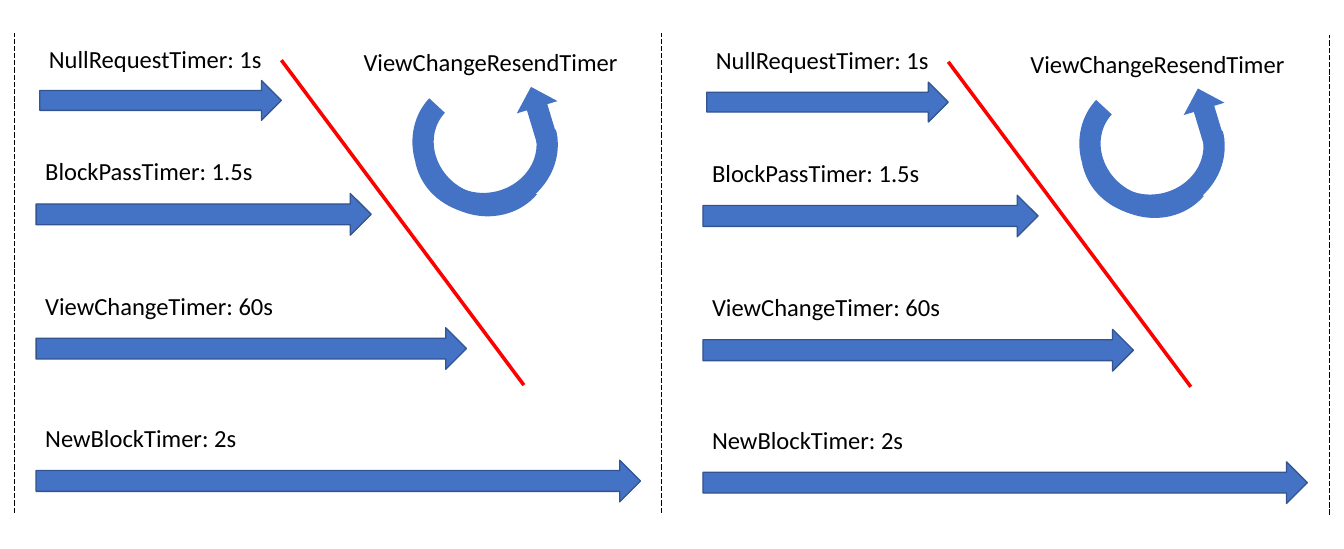
"""Build a slide with two consecutive rounds of consensus timers."""
from dataclasses import dataclass

from lxml import etree
from pptx import Presentation
from pptx.dml.color import RGBColor
from pptx.enum.dml import MSO_LINE
from pptx.enum.shapes import MSO_CONNECTOR, MSO_SHAPE
from pptx.enum.text import MSO_ANCHOR, MSO_AUTO_SIZE, PP_ALIGN
from pptx.oxml.ns import qn
from pptx.util import Inches, Pt

STRAIGHT = MSO_CONNECTOR.STRAIGHT
RIGHT_ARROW, BLOCK_ARC = MSO_SHAPE.RIGHT_ARROW, MSO_SHAPE.BLOCK_ARC
LONG_DASH = MSO_LINE.LONG_DASH
GROW, TOP, LEFT = MSO_AUTO_SIZE.SHAPE_TO_FIT_TEXT, MSO_ANCHOR.TOP, PP_ALIGN.LEFT


@dataclass(frozen=True)
class Theme:
    """Colours, type and line weights of the slide."""
    background: str = "FFFFFF"
    ink: str = "000000"
    timer: str = "4472C4"
    timer_edge: str = "325491"
    cutoff: str = "FF0000"
    font: str = "Calibri"
    label_size: float = 19.1
    edge_weight: float = 1
    divider_weight: float = 0.5
    cutoff_weight: float = 2.75


class TimerSlide:
    """Draw timer elements on a grid with ten columns and rows to the inch."""

    def __init__(self, deck, theme):
        """Add a blank slide on which the origin can be moved."""
        self.theme = theme
        self.slide = deck.slides.add_slide(deck.slide_layouts[6])
        self.origin = (0, 0)
        fill = self.slide.background.fill
        fill.solid()
        fill.fore_color.rgb = RGBColor.from_string(theme.background)

    def place(self, column, row):
        """Convert a grid point to a slide position."""
        return Inches((self.origin[0] + column) / 10), Inches((self.origin[1] + row) / 10)

    def extent(self, columns, rows):
        """Convert a grid span to a size."""
        return Inches(columns / 10), Inches(rows / 10)

    def line(self, start, end, color, weight, dash=None):
        """Draw a straight line between two grid points."""
        connector = self.slide.shapes.add_connector(
            STRAIGHT, *self.place(*start), *self.place(*end))
        connector.line.color.rgb = RGBColor.from_string(color)
        connector.line.width = Pt(weight)
        if dash is not None:
            connector.line.dash_style = dash
        etree.SubElement(connector.line._get_or_add_ln().getparent(), qn("a:effectLst"))

    def block(self, kind, at, span, rotation=0, adjustments=(), edged=False):
        """Draw a filled shape in the timer colour."""
        shape = self.slide.shapes.add_shape(kind, *self.place(*at), *self.extent(*span))
        shape.shadow.inherit = False
        shape.rotation = rotation
        for index, value in enumerate(adjustments):
            shape.adjustments[index] = value
        shape.fill.solid()
        shape.fill.fore_color.rgb = RGBColor.from_string(self.theme.timer)
        if edged:
            shape.line.color.rgb = RGBColor.from_string(self.theme.timer_edge)
            shape.line.width = Pt(self.theme.edge_weight)
        else:
            shape.line.fill.background()

    def label(self, wording, at, columns):
        """Write one unwrapped line of text."""
        box = self.slide.shapes.add_textbox(*self.place(*at), *self.extent(columns, 4.2))
        frame = box.text_frame
        frame.word_wrap = False
        frame.auto_size = GROW
        frame.vertical_anchor = TOP
        paragraph = frame.paragraphs[0]
        paragraph.alignment = LEFT
        run = paragraph.add_run()
        run.text = wording
        run.font.name = self.theme.font
        run.font.size = Pt(self.theme.label_size)
        run.font.color.rgb = RGBColor.from_string(self.theme.ink)

    def divider(self, column, row):
        """Draw a dashed boundary between rounds."""
        self.line((column, row + 51.8), (column, row), self.theme.ink,
                  self.theme.divider_weight, LONG_DASH)

    def timer(self, wording, column, row, length, height, label_width):
        """Draw a timer arrow with its label above."""
        self.block(RIGHT_ARROW, (column, row), (length, height), edged=True)
        self.label(wording, (column, row - 4.5), label_width)

    def resend_loop(self):
        """Draw the circular resend arrow with its label."""
        self.label("ViewChangeResendTimer", (38.3, 4.6), 29.7)
        for column, rotation in ((44.7, 165.8), (44.3, 220.8)):
            self.block(BLOCK_ARC, (column, 8.7), (15.6, 14.4), rotation, (108, 1.12, 0.16))
        self.block(RIGHT_ARROW, (55.2, 10), (6.1, 4.6), 253.2)

    def timer_round(self, origin, timers):
        """Draw one round: cutoff line, timers and resend loop."""
        self.origin = origin
        self.line((56.6, 41.6), (30.4, 6.5), self.theme.cutoff, self.theme.cutoff_weight)
        for timer in timers:
            self.timer(*timer)
        self.resend_loop()
        self.origin = (0, 0)


TIMERS = (
    ("BlockPassTimer: 1.5s", 3.9, 20.9, 36.2, 4.5, 25.4),
    ("NullRequestTimer: 1s", 4.3, 8.7, 26.1, 4.3, 26.2),
    ("ViewChangeTimer: 60s", 3.9, 35.4, 46.5, 4.5, 26.8),
    ("NewBlockTimer: 2s", 3.9, 49.7, 65.3, 4.5, 23.6),
)
ROUND_ORIGINS = ((0, 0), (72.05, 0.18))
DIVIDERS = ((1.6, 3.6), (71.5, 3.6), (143.6, 3.8))

presentation = Presentation()
presentation.slide_width, presentation.slide_height = Inches(14.52), Inches(5.93)
timeline = TimerSlide(presentation, Theme())
for boundary in DIVIDERS:
    timeline.divider(*boundary)
for round_origin in ROUND_ORIGINS:
    timeline.timer_round(round_origin, TIMERS)
presentation.save("out.pptx")
